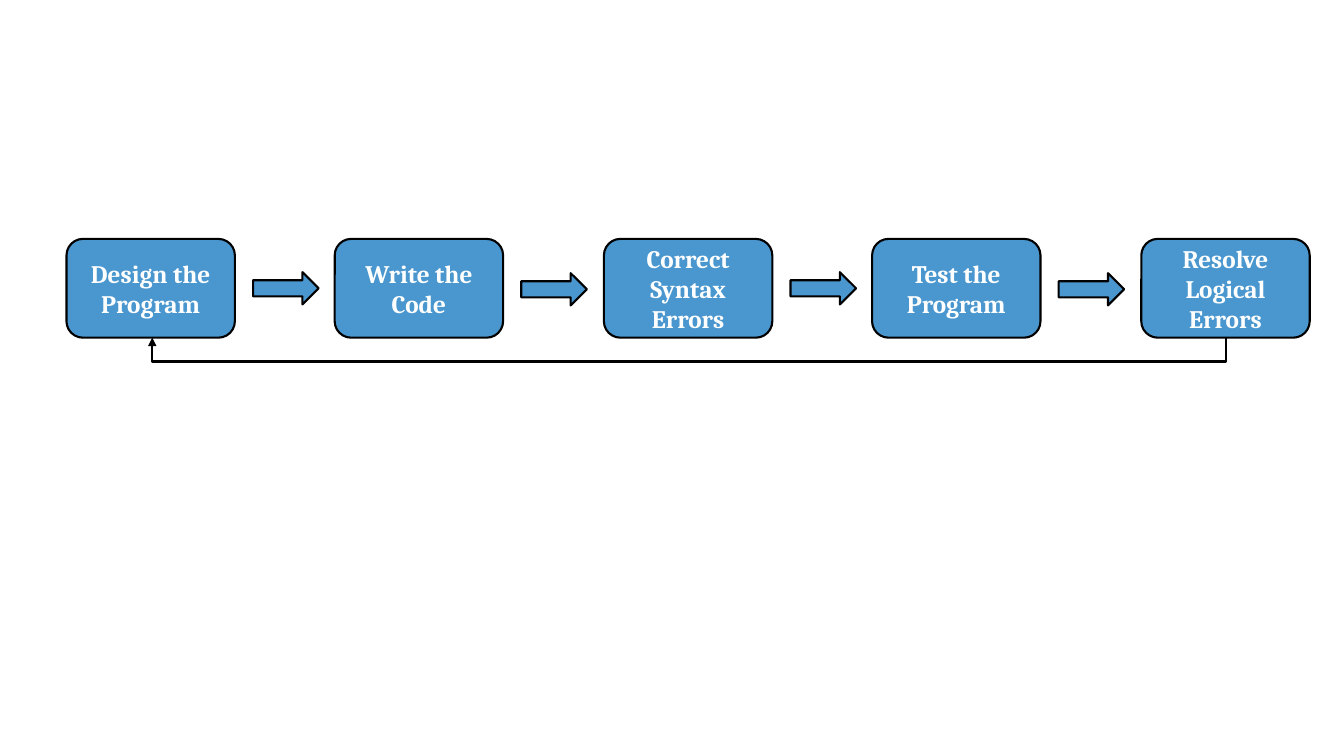
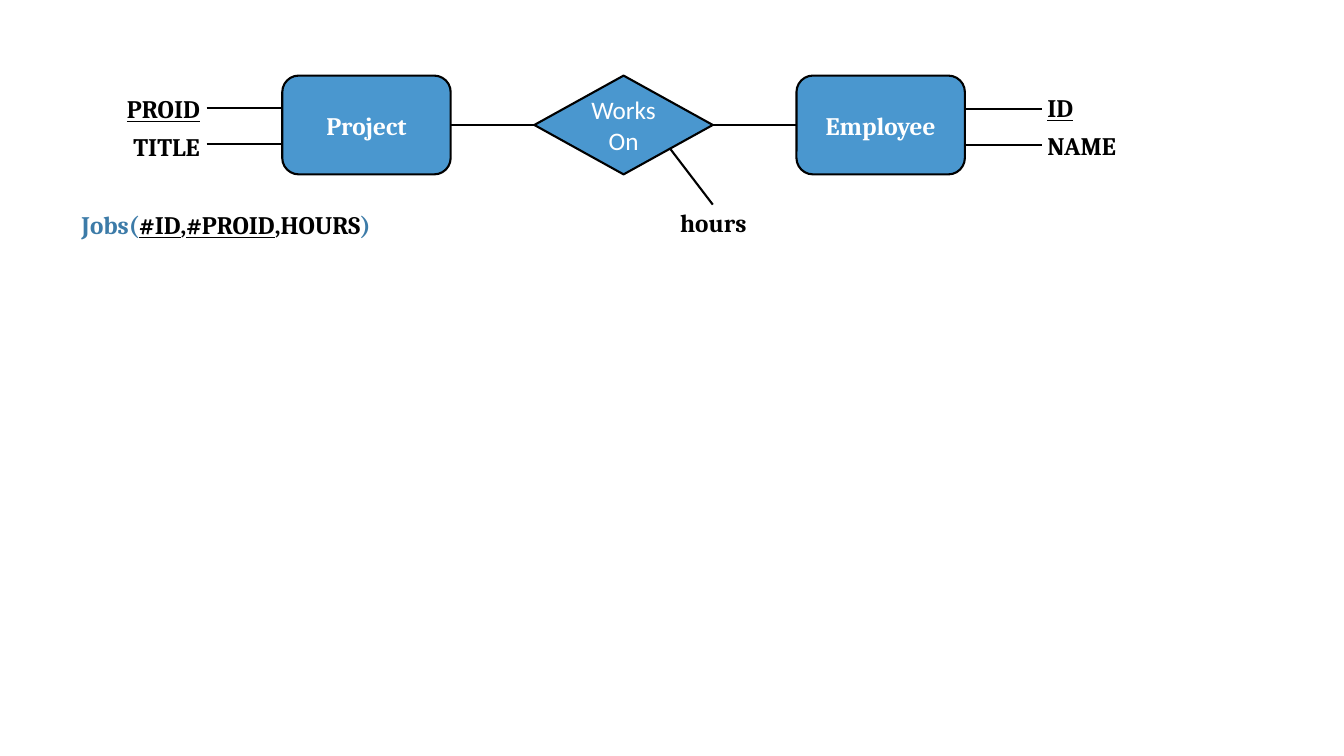
from lxml import etree
from pptx import Presentation
from pptx.dml.color import RGBColor
from pptx.enum import shapes, text
from pptx.oxml.ns import qn

PX = 9144  # 100 px to the inch
PT = 12700
BLUE = RGBColor(0x4A, 0x97, 0xCF)
DARK = RGBColor(0x3C, 0x7B, 0xA8)
BLACK = RGBColor(0, 0, 0)
WHITE = RGBColor(255, 255, 255)
KIND = shapes.MSO_SHAPE
LINK = shapes.MSO_CONNECTOR
ALIGN = text.PP_ALIGN

deck = Presentation()
deck.slide_width, deck.slide_height = 1333 * PX, 750 * PX
blank = deck.slide_layouts[6]


def block(slide, kind, box, words="", font="Cambria", color=WHITE, align=ALIGN.CENTER):
    """Outlined blue shape, or a plain text box when kind is None."""
    place = [n * PX for n in box]
    if kind is None:
        shape = slide.shapes.add_textbox(*place)
    else:
        shape = slide.shapes.add_shape(kind, *place)
        shape.shadow.inherit = False
        shape.fill.solid()
        shape.fill.fore_color.rgb = BLUE
        shape.line.color.rgb = BLACK
        shape.line.width = int(1.5 * PT)
    frame = shape.text_frame
    frame.word_wrap = True
    frame.vertical_anchor = text.MSO_ANCHOR.MIDDLE
    para = frame.paragraphs[0]
    para.text = words
    para.alignment = align
    para.font.name = font
    para.font.size = 18 * PT
    para.font.bold = font == "Cambria"
    para.font.color.rgb = color
    return para


def join(slide, kind, ends):
    line = slide.shapes.add_connector(kind, *[n * PX for n in ends])
    line.line.color.rgb = BLACK
    line.line.width = int(1.5 * PT)
    etree.SubElement(line._element.spPr, qn("a:effectLst"))
    return line


# Slide 1: program cycle
slide = deck.slides.add_slide(blank)
steps = ["Design the Program", "Write the Code", "Correct Syntax Errors",
         "Test the Program", "Resolve Logical Errors"]
for i, step in enumerate(steps):
    x = 66 + 533 * i // 2
    block(slide, KIND.ROUNDED_RECTANGLE, (x, 237, 167, 98), step)
    if i < len(steps) - 1:
        block(slide, KIND.RIGHT_ARROW, (x + 185, 270 + i % 2, 65, 32))

# Return path: an elbow turned by 90 degrees, dropping 25 times its width
back = join(slide, LINK.ELBOW, (683, -198, 684, 867))
props = back._element.spPr
props.find(qn("a:xfrm")).set("rot", "5400000")
guides = props.find(qn("a:prstGeom")).get_or_add_avLst()
etree.SubElement(guides, qn("a:gd"), name="adj1", fmla="val 2500000")
etree.SubElement(props.find(qn("a:ln")), qn("a:tailEnd"), type="triangle")

# Slide 2: entities and relation
slide = deck.slides.add_slide(blank)
for x, name in ((280, "Project"), (790, "Employee")):
    block(slide, KIND.ROUNDED_RECTANGLE, (x, 75, 167, 98), name)
block(slide, KIND.DIAMOND, (530, 75, 177, 98), "Works\vOn", "Calibri")

# Links
for ends in ((447, 124, 530, 124), (707, 124, 790, 124), (665, 148, 707, 203),
             (205, 107, 280, 107), (205, 143, 280, 143),
             (957, 108, 1033, 108), (957, 144, 1033, 144)):
    join(slide, LINK.STRAIGHT, ends)

# Attributes
for word, x, y, w, align, key in (
        ("PROID", 71, 88, 137, ALIGN.RIGHT, True),
        ("TITLE", 71, 125, 137, ALIGN.RIGHT, False),
        ("ID", 1029, 87, 134, ALIGN.LEFT, True),
        ("NAME", 1029, 124, 134, ALIGN.LEFT, False),
        ("hours", 599, 201, 217, ALIGN.CENTER, False)):
    para = block(slide, None, (x, y, w, 40), word, color=BLACK, align=align)
    para.font.underline = key

# Relation schema
para = block(slide, None, (71, 203, 889, 40), align=ALIGN.LEFT)
for word, color, key in (("Jobs(", DARK, False), ("#ID", BLACK, True),
                         (",", BLACK, False), ("#PROID", BLACK, True),
                         (",HOURS", BLACK, False), (")", DARK, False)):
    run = para.add_run()
    run.text = word
    run.font.color.rgb = color
    run.font.underline = key

deck.save("out.pptx")
